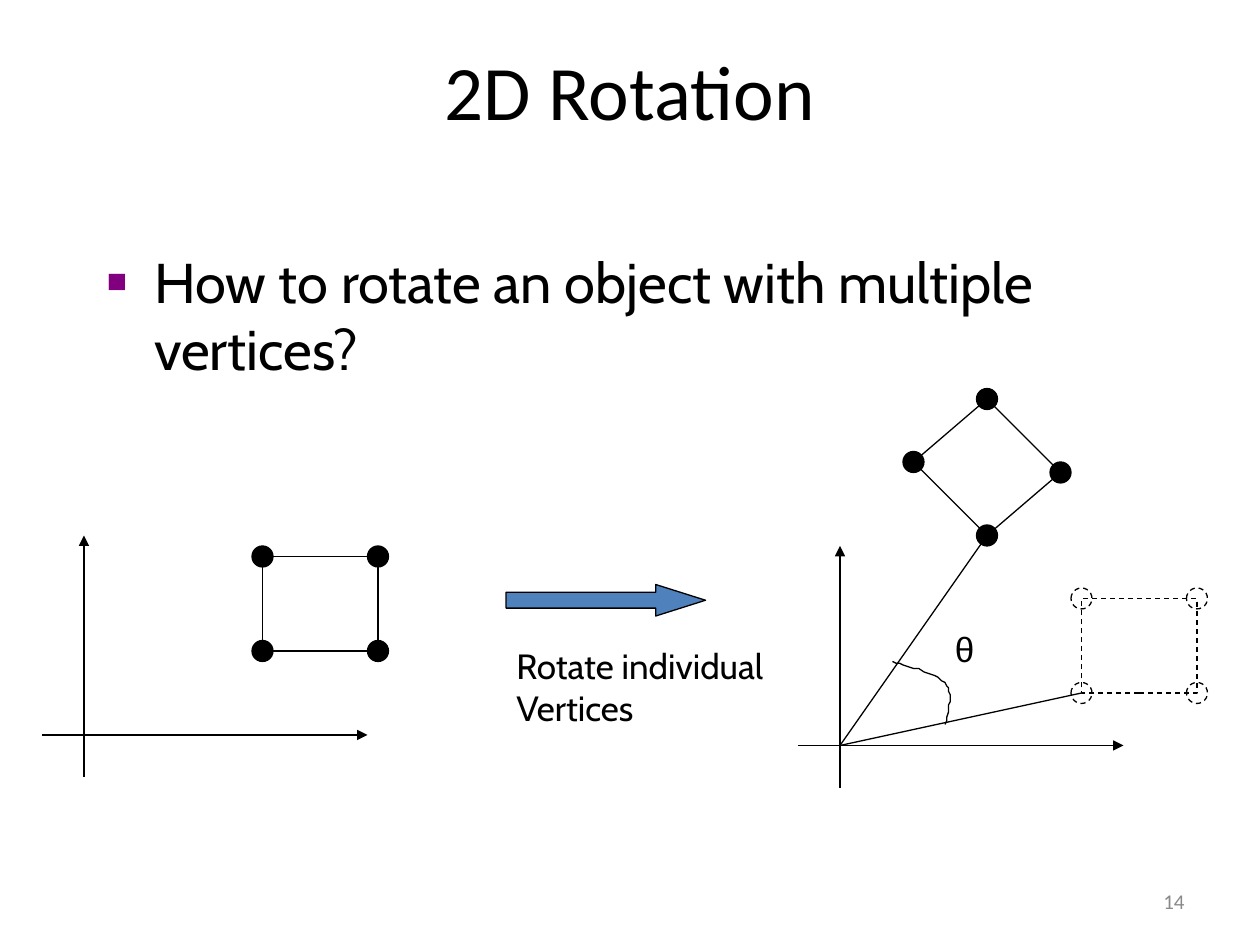
from lxml import etree
from pptx import Presentation
from pptx.dml.color import RGBColor
from pptx.enum import dml, shapes, text
from pptx.oxml.ns import qn
from pptx.util import Pt

HUES = {"ink": "000000", "arrow": "4F81BD", "mark": "800080", "page": "898989"}
DOT = 12


def hue(name):
    return RGBColor.from_string(HUES[name])


def write(slide, box, lines, font, size, color="ink", align=text.PP_ALIGN.LEFT,
          anchor=text.MSO_ANCHOR.TOP, wrap=True):
    frame = slide.shapes.add_textbox(*map(Pt, box)).text_frame
    frame.word_wrap = wrap
    frame.vertical_anchor = anchor
    for i, line in enumerate(lines):
        para = frame.add_paragraph() if i else frame.paragraphs[0]
        para.alignment = align
        run = para.add_run()
        run.text = line
        run.font.name = font
        run.font.size = Pt(size)
        run.font.color.rgb = hue(color)
    return frame


def stroke(item, dash=False):
    item.line.color.rgb = hue("ink")
    item.line.width = Pt(0.75)
    if dash:
        item.line.dash_style = dml.MSO_LINE.DASH


def shape(slide, kind, box, fill=None, dash=False):
    item = slide.shapes.add_shape(kind, *map(Pt, box))
    item.shadow.inherit = False
    if fill:
        item.fill.solid()
        item.fill.fore_color.rgb = hue(fill)
    else:
        item.fill.background()
    stroke(item, dash)
    return item


def join(slide, start, end, head=False):
    line = slide.shapes.add_connector(shapes.MSO_CONNECTOR.STRAIGHT, *map(Pt, start + end))
    stroke(line)
    if head:
        etree.SubElement(line.line._get_or_add_ln(), qn("a:tailEnd"), type="triangle")
    etree.SubElement(line._element.spPr, qn("a:effectLst"))


def dots(slide, points, fill=None, dash=False):
    for x, y in points:
        box = (x - DOT / 2, y - DOT / 2, DOT, DOT)
        shape(slide, shapes.MSO_SHAPE.OVAL, box, fill, dash)


def axes(slide, box):
    x, y, w, h = box
    base, stem = y + h - 24, x + 24
    join(slide, (x, base), (x + w, base), True)
    join(slide, (stem, y + h), (stem, y), True)
    return stem, base


def square(slide, box, fill=None, dash=False):
    x, y, w, h = box
    shape(slide, shapes.MSO_SHAPE.RECTANGLE, box, dash=dash)
    dots(slide, [(a, b) for b in (y + h, y) for a in (x, x + w)], fill, dash)


def bend(a, b, c, d, steps=12):
    for i in range(1, steps + 1):
        t = i / steps
        s = 1 - t
        yield tuple(s**3 * p + 3 * s * s * t * q + 3 * s * t * t * r + t**3 * v
                    for p, q, r, v in zip(a, b, c, d))


def arc(slide, box):
    x, y, w, h = box
    start, mid, end = (x + w, y + h), (x + w, y + h / 3), (x, y)
    points = [*bend(start, (x + w + 2, y + 27), (x + w + 5, y + 18), mid),
              *bend(mid, (x + w - 5, y + 6), (x + 5, y + 2), end)]
    form = slide.shapes.build_freeform(*start, scale=Pt(1))
    form.add_line_segments(points, close=False)
    curve = form.convert_to_shape()
    curve.shadow.inherit = False
    curve.fill.background()
    stroke(curve)


def before(slide, box):
    x, y, w, h = box
    axes(slide, box)
    square(slide, (x + 126, y + 12, 66, 54), "ink")


def step(slide, box):
    x, y, w, h = box
    arrow = shape(slide, shapes.MSO_SHAPE.RIGHT_ARROW, (x + 1.2, y, 114, 18), "arrow")
    arrow.adjustments[1] = 1.58
    write(slide, (x, y + 31, w, h - 31), ["Rotate individual", "Vertices"],
          "Cabin", 20, wrap=False)


def after(slide, box):
    x, y, w, h = box
    zero = axes(slide, box)
    square(slide, (x + 162, y + 30, 66, 54), dash=True)
    ring = [(x + a, y + b) for a, b in ((66, -48), (108, -6), (150, -42), (108, -84))]
    for a, b in zip(ring, ring[1:] + ring[:1]):
        join(slide, a, b)
    dots(slide, ring, "ink")
    join(slide, zero, (x + 162, y + 84))
    join(slide, zero, ring[1])
    arc(slide, (x + 54, y + 66, 30, 36))
    write(slide, (x + 82.6, y + 43, 25, 31), ["θ"], "Arial", 20, wrap=False)


def title(slide, box):
    write(slide, box, ["2D Rotation"], "Calibri", 44, align=text.PP_ALIGN.CENTER)


def body(slide, box):
    frame = write(slide, box, ["How to rotate an object with multiple vertices?"], "Cabin", 32)
    props = frame.paragraphs[0]._p.get_or_add_pPr()
    props.set("marL", str(Pt(27)))
    props.set("indent", str(-Pt(27)))
    tint = etree.SubElement(props, qn("a:buClr"))
    etree.SubElement(tint, qn("a:srgbClr"), val=HUES["mark"])
    etree.SubElement(props, qn("a:buSzPct"), val="60000")
    etree.SubElement(props, qn("a:buFont"), typeface="Arial")
    etree.SubElement(props, qn("a:buChar"), char="■")


def page(slide, box):
    write(slide, box, ["14"], "Calibri", 12, "page", text.PP_ALIGN.RIGHT,
          text.MSO_ANCHOR.MIDDLE)


def main():
    deck = Presentation()
    deck.slide_width, deck.slide_height = Pt(720), Pt(540)
    slide = deck.slides.add_slide(deck.slide_layouts[6])
    page(slide, (516, 500.5, 168, 28.75))
    body(slide, (54, 138, 612, 324))
    before(slide, (24, 306, 186, 138))
    step(slide, (288, 334, 162, 86.5))
    after(slide, (456, 312, 186, 138))
    title(slide, (36, 21.6, 648, 90))
    deck.save("out.pptx")


if __name__ == "__main__":
    main()
